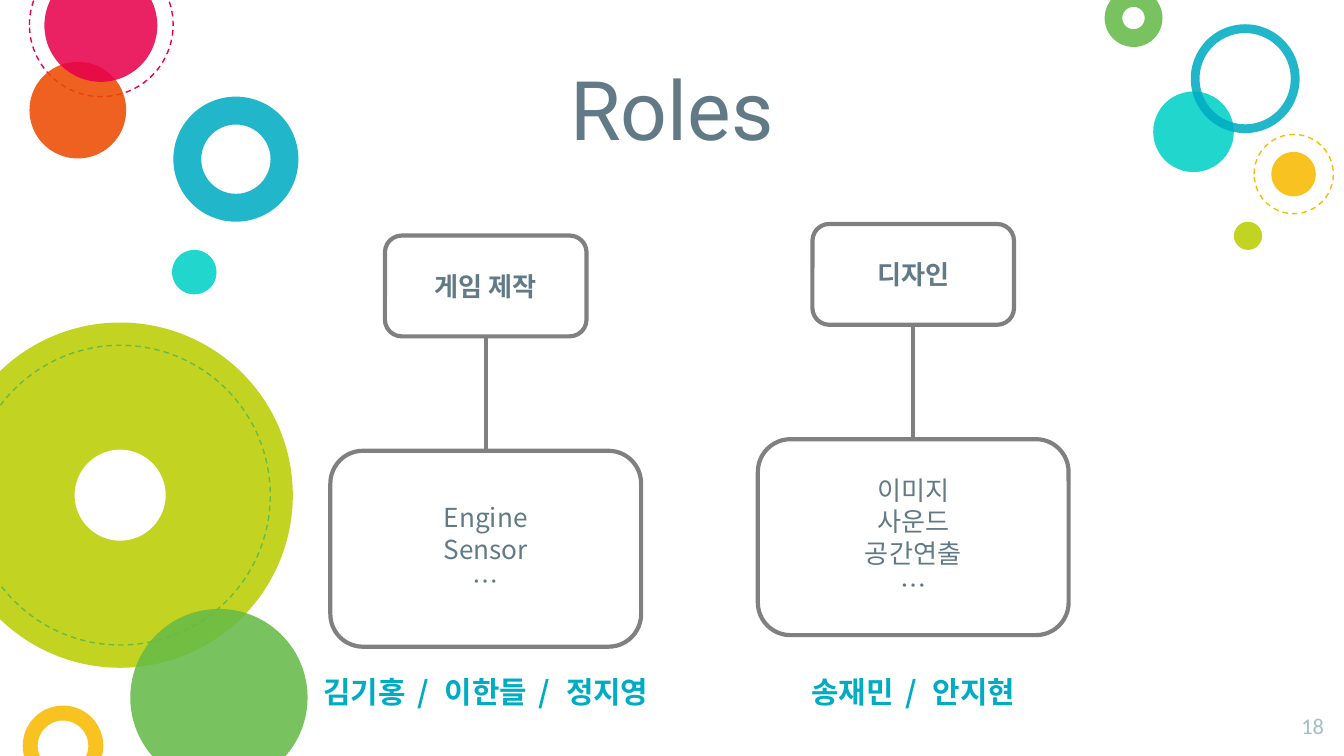
from dataclasses import dataclass

from lxml import etree
from pptx import Presentation
from pptx import util as u
from pptx.dml import color
from pptx.enum import dml, shapes, text
from pptx.oxml import ns


@dataclass(frozen=True)
class Theme:
    slate: str = "617A86"
    gray: str = "808080"
    mist: str = "A1BECC"
    blue: str = "00ACC3"
    teal: str = "00D1C6"
    pink: str = "E8004C"
    orange: str = "ED4A00"
    yellow: str = "F8BB00"
    lime: str = "BBCD00"
    green: str = "65BB48"
    korean: str = "Noto Sans CJK KR"
    heading: str = "Roboto"
    number: str = "Calibri"
    title_size: float = 44
    name_size: float = 16
    body_size: float = 14
    number_size: float = 12
    alpha: int = 87000


THEME = Theme()
ELLIPSE, DONUT = shapes.MSO_SHAPE.OVAL, shapes.MSO_SHAPE.DONUT
CENTER, RIGHT = text.PP_ALIGN.CENTER, text.PP_ALIGN.RIGHT
MIDDLE, BOTTOM, TOP = (text.MSO_ANCHOR.MIDDLE, text.MSO_ANCHOR.BOTTOM,
                       text.MSO_ANCHOR.TOP)

# Left, top, diameter, color, hole (None for a disc, "dash" for a dashed ring)
CIRCLES = [
    (-28.1, 172.8, 185, THEME.lime, 0.368),
    (15.8, -25.2, 77, THEME.pink, "dash"),
    (15.8, 33.1, 51.8, THEME.orange, None),
    (92.9, 51.8, 67, THEME.blue, 0.223),
    (69.8, 326.2, 95, THEME.green, None),
    (12.2, 378, 43.2, THEME.yellow, 0.186),
    (92.2, 133.9, 23.8, THEME.teal, None),
    (617.8, 49, 43.2, THEME.teal, None),
    (591.8, -5.8, 31, THEME.green, 0.306),
    (681.1, 81.4, 23.8, THEME.yellow, None),
    (637.9, 13, 58.3, THEME.blue, 0.081),
    (661, 118.8, 15.1, THEME.lime, None),
    (-15.8, 185, 160.6, THEME.green, "dash"),
    (23.8, -16.6, 60.5, THEME.pink, None),
    (671.8, 72, 42.5, THEME.yellow, "dash"),
]


def rgb(value):
    return color.RGBColor.from_string(value)


def points(*lengths):
    return [u.Pt(length) for length in lengths]


def set_outline(line, value, width):
    line.color.rgb = rgb(value)
    line.width = u.Pt(width)


def set_paragraph(paragraph, value, size, font_name, bold=False,
                  alignment=CENTER, spacing=None):
    """Format a paragraph, giving its Korean letters the same font."""
    paragraph.alignment = alignment
    if spacing:
        paragraph.line_spacing = u.Pt(spacing)
    font = paragraph.font
    font.size, font.name, font.bold = u.Pt(size), font_name, bold
    font.color.rgb = rgb(value)
    for run in paragraph.runs:
        run.font.name = font_name
        properties = run._r.get_or_add_rPr()
        etree.SubElement(properties, ns.qn("a:ea"), typeface=font_name)


def set_frame(frame, anchor, inset=7.2):
    frame.word_wrap = True
    frame.auto_size = text.MSO_AUTO_SIZE.NONE
    frame.vertical_anchor = anchor
    frame.margin_left = frame.margin_right = u.Pt(inset)
    frame.margin_top = frame.margin_bottom = u.Pt(inset)


def add_circle(slide, left, top, diameter, value, hole):
    preset = DONUT if isinstance(hole, float) else ELLIPSE
    circle = slide.shapes.add_shape(
        preset, *points(left, top, diameter, diameter))
    circle.shadow.inherit = False
    if hole == "dash":
        circle.fill.background()
        set_outline(circle.line, value, 0.75)
        circle.line.dash_style = dml.MSO_LINE.DASH
        return
    if preset == DONUT:
        circle.adjustments[0] = hole
    circle.fill.solid()
    circle.fill.fore_color.rgb = rgb(value)
    circle.line.fill.background()
    fill_color = circle._element.spPr.find(".//" + ns.qn("a:srgbClr"))
    etree.SubElement(fill_color, ns.qn("a:alpha"), val=str(THEME.alpha))


def add_box(group, box, lines, bold=False):
    card = group.shapes.add_shape(
        shapes.MSO_SHAPE.ROUNDED_RECTANGLE, *points(*box))
    card.shadow.inherit = False
    card.fill.background()
    set_outline(card.line, THEME.gray, 2.25)
    set_frame(card.text_frame, MIDDLE)
    card.text_frame.text = "\n".join(lines)
    for paragraph in card.text_frame.paragraphs:
        set_paragraph(paragraph, THEME.slate, THEME.body_size, THEME.korean,
                      bold, spacing=17)
    return card


def add_role(slide, left, top, width, height, role, tasks):
    """Place a role box above its task box, joined by a line."""
    group = slide.shapes.add_group_shape()
    role_width, role_height, task_height = 108, 54, 105
    role_box = add_box(group, (left + (width - role_width) / 2, top,
                               role_width, role_height), [role], bold=True)
    task_box = add_box(group, (left, top + height - task_height,
                               width, task_height), tasks)
    link = group.shapes.add_connector(
        shapes.MSO_CONNECTOR.STRAIGHT, *points(0, 0, 0, 0))
    link.begin_connect(role_box, 2)
    link.end_connect(task_box, 0)
    set_outline(link.line, THEME.gray, 2.25)
    etree.SubElement(link._element.spPr, ns.qn("a:effectLst"))


def add_names(slide, box, names):
    """List people with widely spaced slashes between them."""
    frame = slide.shapes.add_textbox(*points(*box)).text_frame
    set_frame(frame, TOP)
    paragraph = frame.paragraphs[0]
    for index, name in enumerate(names):
        if index:
            slash = paragraph.add_run()
            slash.text = " / "
            slash._r.get_or_add_rPr().set("spc", "250")
        paragraph.add_run().text = name
    set_paragraph(paragraph, THEME.blue, THEME.name_size, THEME.korean,
                  bold=True, spacing=20)


def add_title(slide, box, words):
    title = slide.shapes.title
    title.left, title.top, title.width, title.height = points(*box)
    set_frame(title.text_frame, BOTTOM)
    title.text_frame.text = words
    set_paragraph(title.text_frame.paragraphs[0], THEME.slate,
                  THEME.title_size, THEME.heading)


def add_page_number(slide, box, number):
    frame = slide.shapes.add_textbox(*points(*box)).text_frame
    set_frame(frame, TOP)
    frame.text = number
    set_paragraph(frame.paragraphs[0], THEME.mist, THEME.number_size,
                  THEME.number, alignment=RIGHT)


def main():
    presentation = Presentation()
    presentation.slide_width, presentation.slide_height = points(720, 405)
    slide = presentation.slides.add_slide(presentation.slide_layouts[5])

    # Circle decoration
    for circle in CIRCLES:
        add_circle(slide, *circle)

    # Title and page number
    add_title(slide, (54, 0, 612, 91.4), "Roles")
    add_page_number(slide, (679.7, 374.4, 36.7, 31), "18")

    # Roles with their tasks and people
    add_role(slide, 177, 126.2, 166.5, 220.3, "게임 제작",
             ["Engine", "Sensor", "…"])
    add_role(slide, 406, 120, 166.5, 220.3, "디자인",
             ["이미지", "사운드", "공간연출", "…"])
    add_names(slide, (160.6, 352.8, 199.4, 42.5), ["김기홍", "이한들", "정지영"])
    add_names(slide, (406, 352.8, 166.5, 42.5), ["송재민", "안지현"])

    presentation.save("out.pptx")


if __name__ == "__main__":
    main()
